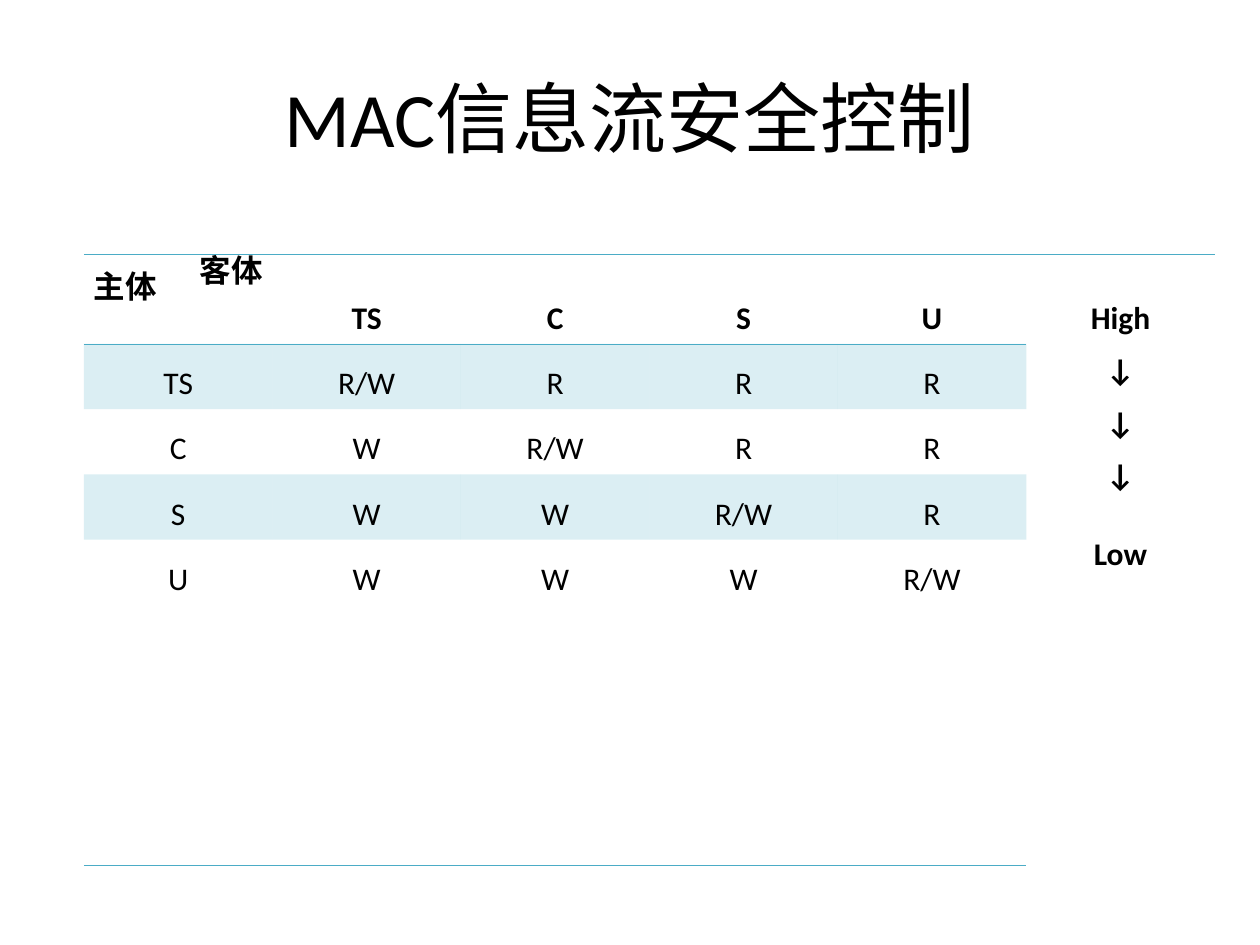
from pptx import Presentation
from pptx.dml.color import RGBColor
from pptx.enum.text import MSO_ANCHOR, PP_ALIGN
from pptx.oxml.ns import qn
from pptx.util import Pt
from lxml.etree import SubElement

EMU_PER_PX = 914400 / 126
BLACK = RGBColor(0x00, 0x00, 0x00)
TEAL = RGBColor(0x4B, 0xAC, 0xC6)
FONT = "Calibri"

LEVELS = ["TS", "C", "S", "U"]
ROW_HEIGHTS = [90, 65, 65, 65, 325]
SIDE_MARGIN, EDGE_MARGIN = 10, 6
CORNER_TOP, HEADER_TOP, BODY_TOP = 22, 45, 33


def px(length):
    return round(length * EMU_PER_PX)


def add_title(page, box, text):
    title = page.shapes.title
    title.left, title.top, title.width, title.height = map(px, box)
    frame = title.text_frame
    frame.text = text
    frame.vertical_anchor = MSO_ANCHOR.MIDDLE
    para = frame.paragraphs[0]
    para.alignment = PP_ALIGN.CENTER
    para.font.size, para.font.name = Pt(44), FONT
    para.font.color.rgb = BLACK


def write_cell(cell, lines, top, bold=False):
    """Each line is (text, alignment, line height, space before), in points."""
    cell.margin_left = cell.margin_right = px(SIDE_MARGIN)
    cell.margin_top, cell.margin_bottom = px(top), px(EDGE_MARGIN)
    cell.vertical_anchor = MSO_ANCHOR.TOP
    frame = cell.text_frame
    for index, (text, alignment, height, gap) in enumerate(lines):
        para = frame.paragraphs[0] if index == 0 else frame.add_paragraph()
        para.text = text
        para.alignment = alignment
        para.line_spacing = Pt(height)
        if gap:
            para.space_before = Pt(gap)
        para.font.size, para.font.name, para.font.bold = Pt(18), FONT, bold
        para.font.color.rgb = BLACK


def style_cell(cell, ruled_edges, shaded):
    properties = cell._tc.get_or_add_tcPr()
    for edge in "LRTB":
        line = SubElement(properties, qn(f"a:ln{edge}"), w=str(Pt(0.45)))
        if edge in ruled_edges:
            fill = SubElement(line, qn("a:solidFill"))
            SubElement(fill, qn("a:srgbClr"), val=str(TEAL))
        else:
            SubElement(line, qn("a:noFill"))
    if shaded:
        cell.fill.solid()
        cell.fill.fore_color.rgb = TEAL
        color = properties.find(qn("a:solidFill")).find(qn("a:srgbClr"))
        SubElement(color, qn("a:alpha"), val="20000")
    else:
        cell.fill.background()


def access_right(subject, target):
    if subject == target:
        return "R/W"
    return "R" if subject < target else "W"


def add_access_table(page, box):
    size = len(LEVELS)
    scale_column = size + 1
    table = page.shapes.add_table(size + 1, size + 2, *map(px, box)).table
    for column in table.columns:
        column.width = px(box[2] / (size + 2))
    for row, height in zip(table.rows, ROW_HEIGHTS):
        row.height = px(height)

    # Rules and banding
    for row in range(size + 1):
        for column in range(size + 2):
            edges = "T" if row == 0 else ""
            if row == size or (row == 0 and column < scale_column):
                edges += "B"
            if row == 1 and column < scale_column:
                edges += "T"
            style_cell(table.cell(row, column), edges,
                       row % 2 == 1 and column < scale_column)

    # Header row
    center = PP_ALIGN.CENTER
    write_cell(table.cell(0, 0), [("客体", PP_ALIGN.RIGHT, 9, 0),
                                  ("主体", PP_ALIGN.JUSTIFY, 9, 0)], CORNER_TOP, True)
    for column, level in enumerate(LEVELS, 1):
        write_cell(table.cell(0, column), [(level, center, 22, 0)], HEADER_TOP, True)

    # Access rights
    for subject, level in enumerate(LEVELS):
        rights = [access_right(subject, target) for target in range(size)]
        for column, text in enumerate([level] + rights):
            write_cell(table.cell(subject + 1, column), [(text, center, 15, 0)], BODY_TOP)

    # Scale from high to low
    scale = table.cell(0, scale_column)
    scale.merge(table.cell(size, scale_column))
    steps = [("High", center, 22, 0)] + [("↓", center, 15, 15)] * 3
    write_cell(scale, steps + [("Low", center, 15, 30)], HEADER_TOP, True)


def main():
    deck = Presentation()
    deck.slide_width, deck.slide_height = px(1260), px(945)
    page = deck.slides.add_slide(deck.slide_layouts[5])
    add_title(page, (63, 38, 1134, 157), "MAC信息流安全控制")
    add_access_table(page, (84, 254, 1131, sum(ROW_HEIGHTS)))
    deck.save("out.pptx")


if __name__ == "__main__":
    main()
